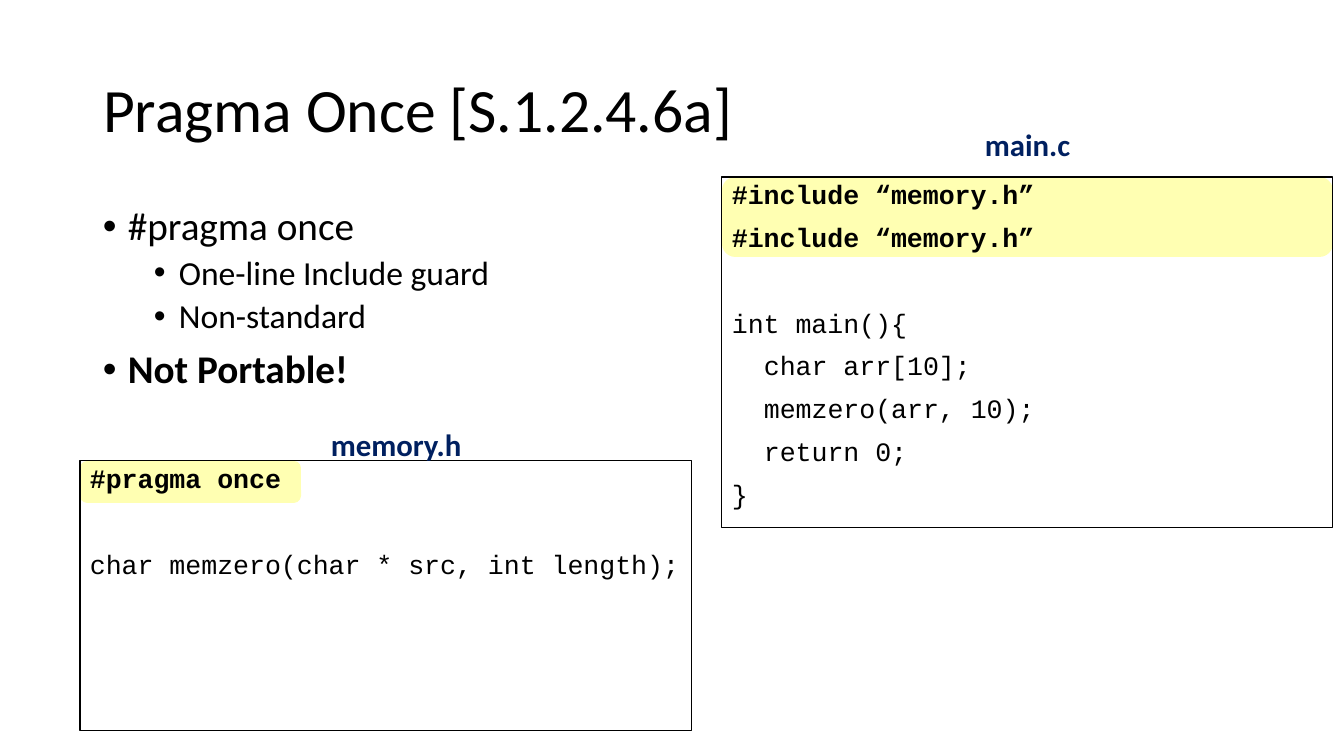
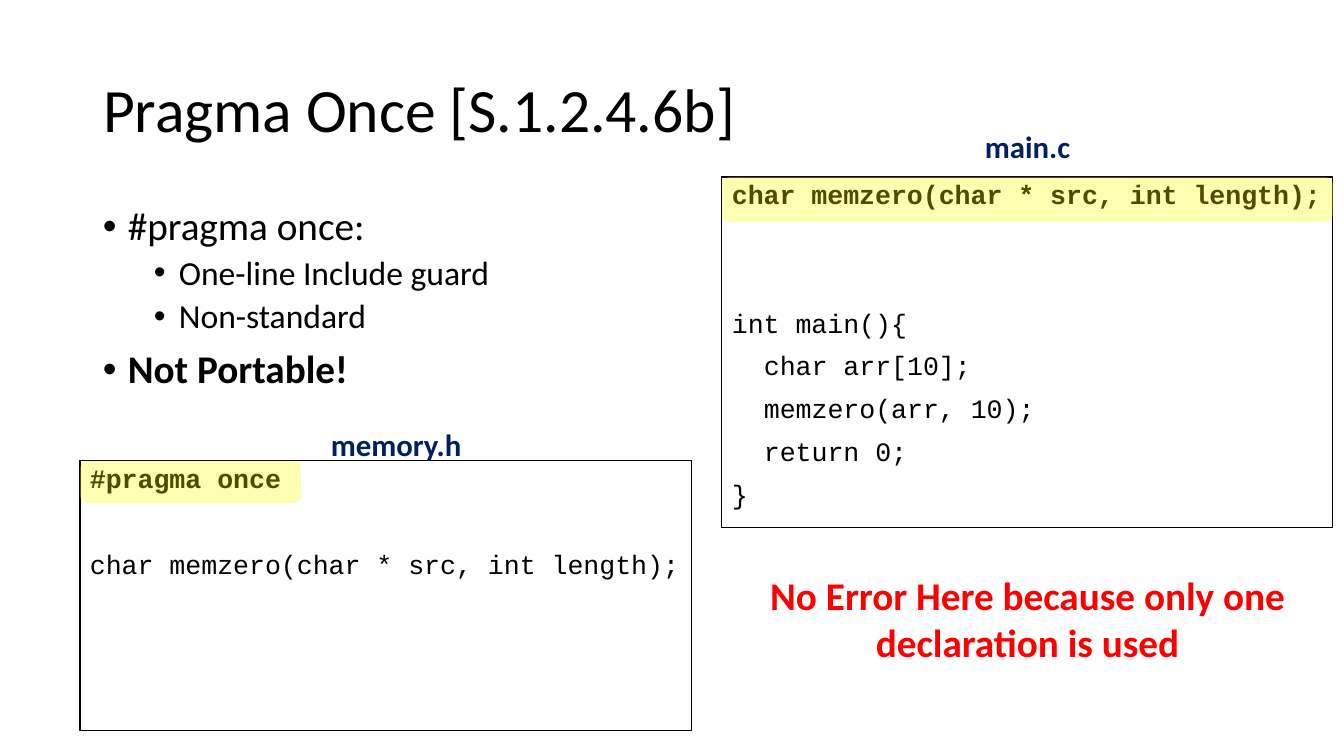
"""Build two slides on the pragma once directive and its effect on inclusion."""
from lxml import etree
from pptx import Presentation
from pptx.dml.color import RGBColor
from pptx.enum.shapes import MSO_SHAPE
from pptx.enum.text import MSO_ANCHOR, MSO_AUTO_SIZE, PP_ALIGN
from pptx.oxml.ns import qn
from pptx.util import Emu, Pt

RECT, ROUNDED = MSO_SHAPE.RECTANGLE, MSO_SHAPE.ROUNDED_RECTANGLE
TOP, MIDDLE = MSO_ANCHOR.TOP, MSO_ANCHOR.MIDDLE
LEFT, CENTER = PP_ALIGN.LEFT, PP_ALIGN.CENTER
NO_FIT = MSO_AUTO_SIZE.NONE
TITLE_ONLY = 5

COLORS = {"text": "000000", "label": "002060", "mark": "FFFF00", "alert": "FF0000"}
SANS, MONO = "Calibri", "Courier New"
CODE_SIZE, CODE_SPACE, CODE_PITCH = 19, 10, 30.5
CODE_INDENT = 32
HANGING = 25
MARK_OPACITY = 30

WIDTH, HEIGHT = 1344, 756
TITLE_AT = (93, 40, 1159, 146)
BULLETS_AT = (93, 202, 599, 208)
HEADER_BOX = (80, 461, 612, 270)
HEADER_LABEL = (321, 421, 152, 47)
HEADER_MARK = (221, 42)
MAIN_BOX = (722, 177, 611, 351)
REMARK_AT = (760, 566, 535, 105)

BULLET_STYLES = [
    {"size": 28, "margin": 25, "before": 10},
    {"size": 24, "margin": 76, "before": 5},
]

DECLARATION = "char memzero(char * src, int length);"
INCLUDE = "#include “memory.h”"

# Code lines: text, indent level, blank lines above, bold
HEADER_CODE = [("#pragma once", 0, 0, True), (DECLARATION, 0, 1, False)]
MAIN_BODY = [
    ("char arr[10];", 1, 0, False),
    ("memzero(arr, 10);", 1, 0, False),
    ("return 0;", 1, 0, False),
    ("}", 0, 0, False),
]

SLIDES = [
    {
        "title": "Pragma Once [S.1.2.4.6a]",
        "topic": "#pragma once",
        "main_code": [(INCLUDE, 0, 0, True), (INCLUDE, 0, 0, True),
                      ("int main(){", 0, 1, False)] + MAIN_BODY,
        "main_label": (975, 121, 107, 47),
        "main_mark": (611, 80),
        "marks_in_front": False,
        "remark": None,
    },
    {
        "title": "Pragma Once [S.1.2.4.6b]",
        "topic": "#pragma once:",
        "main_code": [(DECLARATION, 0, 0, True),
                      ("int main(){", 0, 2, False)] + MAIN_BODY,
        "main_label": (975, 123, 107, 47),
        "main_mark": (611, 45),
        "marks_in_front": True,
        "remark": "No Error Here because only one declaration is used",
    },
]


def px(value):
    return Emu(round(value * 914400 / 100.8))


def place(area):
    return [px(value) for value in area]


def color(name):
    return RGBColor.from_string(COLORS[name])


def add_run(para, text, size, font=SANS, ink="text", bold=False):
    span = para.add_run()
    span.text = text
    span.font.name = font
    span.font.size = Pt(size)
    span.font.bold = bold
    span.font.color.rgb = color(ink)


def paragraphs(frame, items):
    for index, item in enumerate(items):
        yield frame.add_paragraph() if index else frame.paragraphs[0], item


def format_para(para, before, align=LEFT):
    para.alignment = align
    para.line_spacing = 0.9
    para.space_before = Pt(before)


def set_margin(para, margin, hanging=0):
    props = para._p.get_or_add_pPr()
    props.set("marL", str(px(margin)))
    props.set("indent", str(-px(hanging)))
    return props


def add_title(page, text):
    title = page.shapes.title
    title.left, title.top, title.width, title.height = place(TITLE_AT)
    frame = title.text_frame
    frame.auto_size = NO_FIT
    frame.vertical_anchor = MIDDLE
    format_para(frame.paragraphs[0], 0)
    add_run(frame.paragraphs[0], text, 44)


def add_text(page, area, text, size, ink, align=LEFT, wrap=True):
    frame = page.shapes.add_textbox(*place(area)).text_frame
    frame.word_wrap = wrap
    para = frame.paragraphs[0]
    para.alignment = align
    add_run(para, text, size, ink=ink, bold=True)


def add_bullets(page, items):
    frame = page.shapes.add_textbox(*place(BULLETS_AT)).text_frame
    frame.word_wrap = True
    for para, (text, level, bold) in paragraphs(frame, items):
        style = BULLET_STYLES[level]
        para.level = level
        format_para(para, style["before"])
        props = set_margin(para, style["margin"], HANGING)
        etree.SubElement(props, qn("a:buFont")).set("typeface", "Arial")
        etree.SubElement(props, qn("a:buChar")).set("char", "•")
        add_run(para, text, style["size"], bold=bold)


def add_mark(page, box_area, size):
    mark = page.shapes.add_shape(ROUNDED, *place(box_area[:2] + size))
    mark.shadow.inherit = False
    mark.line.fill.background()
    mark.fill.solid()
    mark.fill.fore_color.rgb = color("mark")
    tint = mark._element.spPr.find(qn("a:solidFill"))[0]
    etree.SubElement(tint, qn("a:alpha")).set("val", str(MARK_OPACITY * 1000))


def add_code(page, area, lines):
    box = page.shapes.add_shape(RECT, *place(area))
    box.shadow.inherit = False
    box.fill.background()
    box.line.color.rgb = color("text")
    box.line.width = Pt(0.75)
    frame = box.text_frame
    frame.word_wrap = True
    frame.vertical_anchor = TOP
    for para, (text, level, blanks, bold) in paragraphs(frame, lines):
        format_para(para, CODE_SPACE + blanks * CODE_PITCH)
        set_margin(para, level * CODE_INDENT)
        add_run(para, text, CODE_SIZE, MONO, bold=bold)


def add_marks(page, content):
    add_mark(page, HEADER_BOX, HEADER_MARK)
    add_mark(page, MAIN_BOX, content["main_mark"])


def build_page(deck, content):
    page = deck.slides.add_slide(deck.slide_layouts[TITLE_ONLY])
    add_title(page, content["title"])
    add_bullets(page, [
        (content["topic"], 0, False),
        ("One-line Include guard", 1, False),
        ("Non-standard", 1, False),
        ("Not Portable!", 0, True),
    ])
    if not content["marks_in_front"]:
        add_marks(page, content)
    add_code(page, HEADER_BOX, HEADER_CODE)
    add_code(page, MAIN_BOX, content["main_code"])
    add_text(page, HEADER_LABEL, "memory.h", 22, "label", wrap=False)
    add_text(page, content["main_label"], "main.c", 22, "label", wrap=False)
    if content["marks_in_front"]:
        add_marks(page, content)
    if content["remark"]:
        add_text(page, REMARK_AT, content["remark"], 28, "alert", CENTER)


def main():
    deck = Presentation()
    deck.slide_width, deck.slide_height = px(WIDTH), px(HEIGHT)
    for content in SLIDES:
        build_page(deck, content)
    deck.save("out.pptx")


if __name__ == "__main__":
    main()
